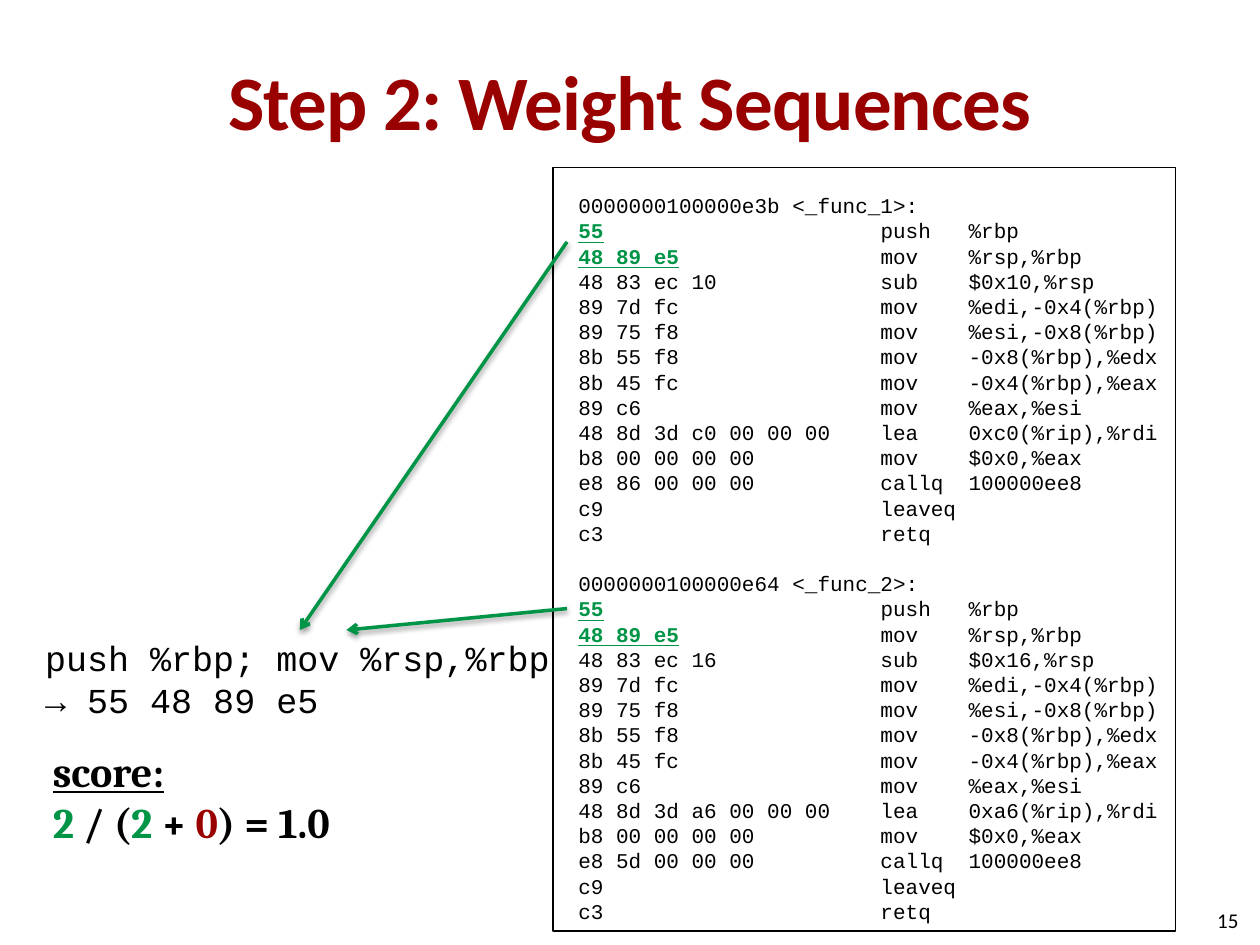
"""Build the slide on weighting byte sequences by function starts."""
from lxml.etree import SubElement
from pptx import Presentation
from pptx.dml.color import RGBColor as RGB
from pptx.enum.shapes import MSO_CONNECTOR as LINK, MSO_SHAPE as SHAPE
from pptx.enum.text import MSO_ANCHOR as ANCHOR, MSO_AUTO_SIZE as AUTO, PP_ALIGN as ALIGN
from pptx.oxml import parse_xml
from pptx.oxml.ns import nsdecls, qn
from pptx.util import Inches, Pt

COLORS = {"black": "000000", "white": "FFFFFF", "green": "009446", "red": "990000"}


def style(font, name, size, color="black", bold=False):
    """Set the face, size, colour and weight of a font."""
    font.name, font.size, font.bold = name, Pt(size), bold
    font.color.rgb = RGB.from_string(COLORS[color])


def setup(shape, pads=(0, 0, 0, 0), anchor=ANCHOR.TOP, wrap=True, fit=AUTO.NONE):
    """Set the insets (left, top, right, bottom) and flow of a text frame."""
    frame = shape.text_frame
    frame.margin_left, frame.margin_top, frame.margin_right, frame.margin_bottom = map(Inches, pads)
    frame.vertical_anchor, frame.word_wrap, frame.auto_size = anchor, wrap, fit
    return frame


deck = Presentation()
deck.slide_width, deck.slide_height = Inches(10), Inches(7.5)
slide = deck.slides.add_slide(deck.slide_layouts[5])
shapes = slide.shapes

title = shapes.title
title.left, title.top, title.width, title.height = map(Inches, (0.5, 0.17, 9, 1.25))
frame = setup(title, (0, 0.05, 0, 0.05), ANCHOR.MIDDLE)
frame.text = "Step 2: Weight Sequences"
para = frame.paragraphs[0]
para.alignment = ALIGN.CENTER
style(para.font, "Calibri", 44, "red", True)
para.runs[0].font._element.set("spc", "-50")

panel = shapes.add_shape(SHAPE.RECTANGLE, *map(Inches, (4.39, 1.33, 4.94, 6.06)))
panel.shadow.inherit = False
panel.fill.background()
panel.line.color.rgb = RGB.from_string(COLORS["black"])
panel.line.width = Pt(0.75)
frame = setup(panel, (0.2, 0.2, 0, 0), fit=AUTO.SHAPE_TO_FIT_TEXT)

funcs = [
    ("0000000100000e3b <_func_1>:", "10", "c0", "86"),
    ("0000000100000e64 <_func_2>:", "16", "a6", "5d"),
]
para = frame.paragraphs[0]
for head, size, disp, call in funcs:
    if para.runs:
        para = frame.add_paragraph()
        para.space_before = Pt(14.4)
    para.alignment = ALIGN.LEFT
    style(para.font, "Courier New", 12)
    para.add_run().text = head
    rows = [
        ("55", "push", "%rbp"),
        ("48 89 e5", "mov", "%rsp,%rbp"),
        (f"48 83 ec {size}", "sub", f"$0x{size},%rsp"),
        ("89 7d fc", "mov", "%edi,-0x4(%rbp)"),
        ("89 75 f8", "mov", "%esi,-0x8(%rbp)"),
        ("8b 55 f8", "mov", "-0x8(%rbp),%edx"),
        ("8b 45 fc", "mov", "-0x4(%rbp),%eax"),
        ("89 c6", "mov", "%eax,%esi"),
        (f"48 8d 3d {disp} 00 00 00", "lea", f"0x{disp}(%rip),%rdi"),
        ("b8 00 00 00 00", "mov", "$0x0,%eax"),
        (f"e8 {call} 00 00 00", "callq", "100000ee8"),
        ("c9", "leaveq", ""),
        ("c3", "retq", ""),
    ]
    for i, (code, name, args) in enumerate(rows):
        para = frame.add_paragraph()
        para.alignment = ALIGN.LEFT
        line = f"{code:<24}{name:<7}{args}".rstrip()
        match = code if i < 2 else ""
        if match:
            run = para.add_run()
            run.text = match
            style(run.font, "Courier New", 12, "green", True)
            run.font.underline = True
        run = para.add_run()
        run.text = line[len(match):]
        style(run.font, "Courier New", 12)

for x1, y1, x2, y2 in [(4.5, 1.92, 2.38, 5), (4.5, 4.83, 2.75, 5)]:
    arrow = shapes.add_connector(LINK.STRAIGHT, *map(Inches, (x1, y1, x2, y2)))
    arrow.line.color.rgb = RGB.from_string(COLORS["green"])
    arrow.line.width = Pt(2)
    SubElement(arrow.line._get_or_add_ln(), qn("a:tailEnd"), type="arrow")
    arrow._element.spPr.append(parse_xml(
        f'<a:effectLst {nsdecls("a")}><a:outerShdw blurRad="39370" dist="20320" dir="5400000" '
        f'rotWithShape="0"><a:srgbClr val="{COLORS["black"]}"><a:alpha val="38000"/></a:srgbClr>'
        '</a:outerShdw></a:effectLst>'))

number = shapes.add_textbox(*map(Inches, (7.5, 7.1, 2.33, 0.4)))
frame = setup(number, anchor=ANCHOR.MIDDLE)
frame.text = "15"
frame.paragraphs[0].alignment = ALIGN.RIGHT
style(frame.paragraphs[0].font, "Calibri", 12)

query = shapes.add_textbox(*map(Inches, (0.26, 5, 4.24, 0.77)))
frame = setup(query, (0.1, 0.05, 0.1, 0.05), wrap=False, fit=AUTO.SHAPE_TO_FIT_TEXT)
frame.text = "push %rbp; mov %rsp,%rbp\n→ 55 48 89 e5"
for para in frame.paragraphs:
    style(para.font, "Courier New", 20)

score = shapes.add_shape(SHAPE.RECTANGLE, *map(Inches, (0.42, 5.92, 2.36, 0.81)))
score.shadow.inherit = False
score.fill.solid()
score.fill.fore_color.rgb = RGB.from_string(COLORS["white"])
score.line.fill.background()
frame = setup(score, wrap=False, fit=AUTO.SHAPE_TO_FIT_TEXT)
para = frame.paragraphs[0]
para.alignment = ALIGN.LEFT
parts = [("score:", "black"), ("2 ", "green"), ("/ (", "black"), ("2", "green"),
         (" + ", "black"), ("0", "red"), (") = 1.0", "black")]
for i, (text, color) in enumerate(parts):
    run = para.add_run()
    run.text = text
    style(run.font, "Cambria", 24, color, True)
    if i == 0:
        run.font.underline = True
        para.add_line_break()

deck.save("out.pptx")
